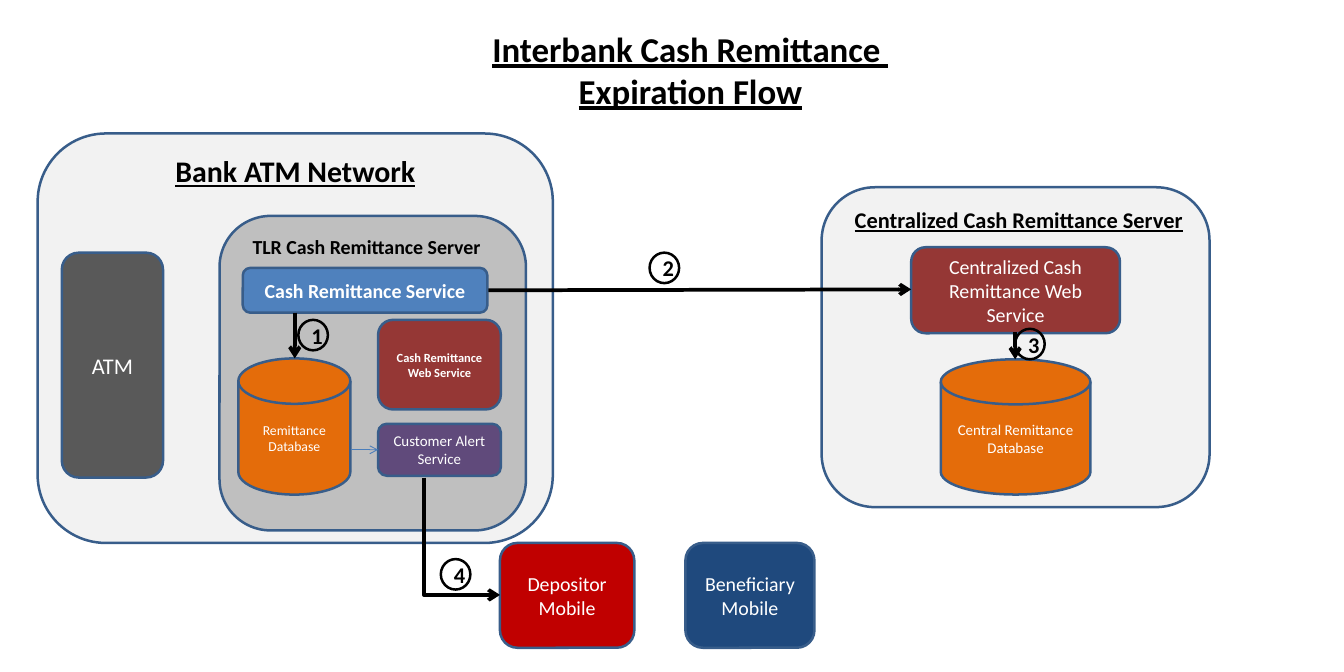
from lxml.etree import SubElement as Sub
from pptx import Presentation
from pptx.dml.color import RGBColor as Rgb
from pptx.enum.shapes import MSO_CONNECTOR as Link, MSO_SHAPE as Kind
from pptx.enum.text import MSO_ANCHOR as Anchor, PP_ALIGN as Align
from pptx.oxml.ns import qn
from pptx.util import Inches, Pt

HUES = {
    "pale": "F2F2F2", "gray": "BFBFBF", "dark": "595959", "edge": "385D8A",
    "blue": "4F81BD", "navy": "1F497D", "wine": "953735", "red": "C00000",
    "plum": "604A7B", "gold": "E46C0A", "thin": "4A7EBB",
    "white": "FFFFFF", "black": "000000",
}


def hue(name):
    return Rgb.from_string(HUES[name])


def write(frame, text, size=16, color="white", bold=False, line=False,
          align=Align.CENTER, anchor=Anchor.MIDDLE, wrap=True):
    frame.text = text
    frame.word_wrap = wrap
    frame.vertical_anchor = anchor
    for para in frame.paragraphs:
        para.alignment = align
        font = para.runs[0].font
        font.name = "Calibri"
        font.size = Pt(size)
        font.bold = bold
        font.underline = line
        font.color.rgb = hue(color)


class Board:
    def __init__(self, slide):
        self.shapes = slide.shapes
        self.edge = "edge"
        self.width = Pt(2)

    def shape(self, kind, box, fill=None, edge=None, text="", **fmt):
        item = self.shapes.add_shape(kind, *map(Inches, box))
        item.shadow.inherit = False
        if fill:
            item.fill.solid()
            item.fill.fore_color.rgb = hue(fill)
        else:
            item.fill.background()
        item.line.color.rgb = hue(edge or self.edge)
        item.line.width = self.width
        if text:
            write(item.text_frame, text, **fmt)

    def card(self, box, fill, text="", **fmt):
        self.shape(Kind.ROUNDED_RECTANGLE, box, fill, text=text, **fmt)

    def disk(self, box, text, size):
        self.shape(Kind.FLOWCHART_MAGNETIC_DISK, box, "gold", text=text, size=size)

    def badge(self, left, top, text):
        self.shape(Kind.OVAL, (left, top, 0.33, 0.34), edge="black",
                   text=text, size=18, color="black", bold=True)

    def label(self, box, text, size, **fmt):
        item = self.shapes.add_textbox(*map(Inches, box))
        write(item.text_frame, text, size=size, color="black", bold=True,
              anchor=Anchor.TOP, wrap=False, **fmt)

    def arrow(self, ends, color="black", width=3, kind=Link.STRAIGHT):
        item = self.shapes.add_connector(kind, *map(Inches, ends))
        item.line.color.rgb = hue(color)
        item.line.width = Pt(width)
        props = item._element.spPr
        Sub(props.find(qn("a:ln")), qn("a:tailEnd"), type="arrow")
        Sub(props, qn("a:effectLst"))
        return props

    def bend(self, ends):
        props = self.arrow(ends, kind=Link.ELBOW)
        props.find(qn("a:prstGeom")).set("prst", "bentConnector2")
        props.find(qn("a:xfrm")).set("rot", str(270 * 60000))


def main():
    deck = Presentation()
    deck.slide_width = Inches(15)
    deck.slide_height = Inches(7.5)
    board = Board(deck.slides.add_slide(deck.slide_layouts[6]))

    board.card((0.42, 1.49, 5.75, 4.57), "pale")
    board.card((0.69, 2.82, 1.13, 2.51), "dark", "ATM", size=18)
    board.card((2.45, 2.41, 3.42, 3.51), "gray")
    board.label((1.86, 1.66, 2.91, 0.5), "Bank ATM Network", 24,
                line=True, align=Align.LEFT)
    board.card((2.71, 2.99, 2.73, 0.5), "blue", "Cash Remittance Service", bold=True)
    board.disk((2.66, 4, 1.25, 1.52), "Remittance Database", 11)
    board.card((4.22, 4.73, 1.37, 0.58), "plum", "Customer Alert Service", size=12)
    board.card((4.22, 3.57, 1.37, 1), "wine", "Cash Remittance Web Service",
               size=10, bold=True)
    board.label((2.72, 2.57, 2.95, 0.37), "TLR Cash Remittance Server", 16,
                align=Align.LEFT)

    board.card((9.17, 2.09, 4.33, 3.57), "pale")
    board.card((10.17, 2.76, 2.33, 0.96), "wine",
               "Centralized Cash Remittance Web Service")
    board.disk((10.5, 4.01, 1.67, 1.51), "Central Remittance Database", 12)
    board.label((9.44, 2.25, 3.88, 0.4), "Centralized Cash Remittance Server", 18,
                line=True, align=Align.LEFT)

    board.card((5.58, 6.06, 1.5, 1.17), "red", "Depositor Mobile")
    board.card((7.65, 6.06, 1.44, 1.17), "navy", "Beneficiary Mobile")
    board.label((5.39, 0.26, 4.63, 1.04),
                "Interbank Cash Remittance \nExpiration Flow", 28, line=True)

    board.arrow((3.29, 3.49, 3.29, 4))
    board.arrow((5.45, 3.24, 10.17, 3.23))
    board.arrow((11.33, 3.71, 11.33, 4.01))
    board.arrow((3.92, 5.02, 4.22, 5.02), "thin", 0.75)
    board.bend((5.81, 5.56, 4.5, 6.41))

    spots = [(3.33, 3.57), (7.25, 2.82), (11.33, 3.67), (4.92, 6.24)]
    for step, (left, top) in enumerate(spots, 1):
        board.badge(left, top, str(step))

    deck.save("out.pptx")


if __name__ == "__main__":
    main()
